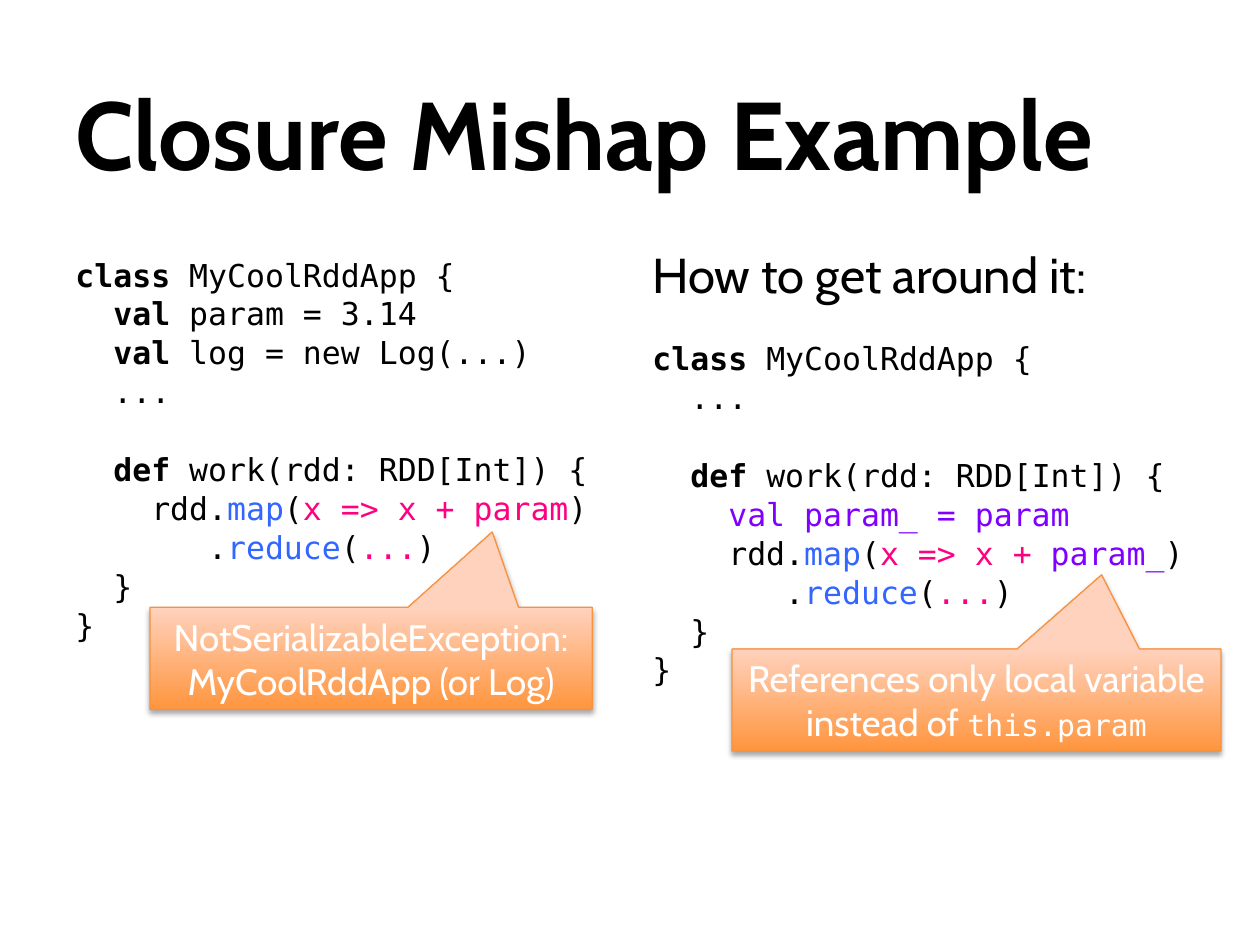
from lxml.etree import SubElement
from pptx import Presentation
from pptx.dml.color import RGBColor
from pptx.enum.shapes import MSO_SHAPE
from pptx.enum.text import MSO_ANCHOR, PP_ALIGN
from pptx.oxml import parse_xml
from pptx.oxml.ns import nsdecls, qn
from pptx.util import Inches, Pt

SANS, MONO = "Cabin", "DejaVu Sans Mono"

# Theme: style -> (font, size, colour, bold)
THEME = {
    "title": (SANS, 55, "000000", True),
    "head": (SANS, 28, "000000", False),
    "code": (MONO, 18, "000000", False),
    "key": (MONO, 18, "000000", True),
    "call": (MONO, 18, "3366FF", False),
    "arg": (MONO, 18, "FF0080", False),
    "local": (MONO, 18, "8000FF", False),
    "gap": (MONO, 12, "000000", False),
    "note": (SANS, 21, "FFFFFF", False),
    "term": (MONO, 17, "FFFFFF", False),
}
GRAD = ("FF953E", "FFD2BD")
EDGE = "F69240"

# Content: a paragraph is a list of lines, a line a list of (style, text)
OPEN = [("key", "class "), ("code", "MyCoolRddApp {")]
DOTS = [("code", "  ...")]
WORK = [("code", "  "), ("key", "def"), ("code", " work(rdd: RDD[Int]) {")]
MAP = [("code", "    rdd."), ("call", "map"), ("code", "(")]
TAIL = [
    [("code", "       ."), ("call", "reduce"), ("code", "("),
     ("arg", "..."), ("code", ")")],
    [("code", "  }")],
    [("code", "}")],
]
BAD = [
    OPEN,
    [("code", "  "), ("key", "val "), ("code", "param = 3.14")],
    [("code", "  "), ("key", "val"), ("code", " log = new Log(...)")],
    DOTS,
    [("code", "")],
    WORK,
    MAP + [("arg", "x => x + param"), ("code", ")")],
] + TAIL
GOOD = [
    OPEN,
    DOTS,
    [("gap", "")],
    WORK,
    [("code", "    "), ("local", "val param_ = param")],
    MAP + [("arg", "x => x + "), ("local", "param_"), ("code", ")")],
] + TAIL

TEXTS = [  # place, anchor, paragraphs
    ((0.5, 0.42, 9, 1.25), MSO_ANCHOR.MIDDLE,
     [[[("title", "Closure Mishap Example")]]]),
    ((0.5, 1.97, 4.42, 4.95), MSO_ANCHOR.TOP, [BAD]),
    ((5.08, 1.89, 4.42, 4.95), MSO_ANCHOR.TOP,
     [[[("head", "How to get around it:")]], GOOD]),
]
NOTES = [  # place, pointer tip, paragraph
    ((1.19, 4.82, 3.51, 0.81), (0.274, -1.239),
     [[("note", "NotSerializableException:")],
      [("note", "MyCoolRddApp (or Log)")]]),
    ((5.81, 5.15, 3.88, 0.81), (0.256, -1.226),
     [[("note", "References only local variable instead of "),
       ("term", "this.param")]]),
]


def rgb(code):
    return RGBColor.from_string(code)


def add_break(para, style):
    name, size = THEME[style][:2]
    para.add_line_break()
    props = SubElement(para._p[-1], qn("a:rPr"), sz=str(size * 100))
    SubElement(props, qn("a:latin"), typeface=name)


def write(para, lines):
    for num, line in enumerate(lines):
        if num:
            add_break(para, line[0][0])
        for style, text in line:
            if text:
                run = para.add_run()
                run.text = text
                font = run.font
                font.name, size, tint, font.bold = THEME[style]
                font.size = Pt(size)
                font.color.rgb = rgb(tint)


def add_text(slide, place, anchor, paras):
    frame = slide.shapes.add_textbox(*map(Inches, place)).text_frame
    frame.word_wrap = True
    frame.vertical_anchor = anchor
    for num, lines in enumerate(paras):
        para = frame.add_paragraph() if num else frame.paragraphs[0]
        if anchor == MSO_ANCHOR.TOP:
            para.space_before = Pt(20)
        if len(lines) > 1:
            para.line_spacing = 1.03
        write(para, lines)


def add_note(slide, place, tip, lines):
    shape = slide.shapes.add_shape(
        MSO_SHAPE.RECTANGULAR_CALLOUT, *map(Inches, place))
    for num, value in enumerate(tip):
        shape.adjustments[num] = value
    # Fill, edge and shadow
    shape.fill.gradient()
    shape.fill.gradient_angle = 90
    for num, stop in enumerate(shape.fill.gradient_stops):
        stop.position = num
        stop.color.rgb = rgb(GRAD[num])
    shape.line.color.rgb = rgb(EDGE)
    shape.line.width = Pt(0.75)
    shape._element.spPr.append(parse_xml(
        f'<a:effectLst {nsdecls("a")}><a:outerShdw blurRad="{Pt(3.1)}" '
        f'dist="{Pt(1.8)}" dir="5400000" rotWithShape="0">'
        '<a:srgbClr val="000000"><a:alpha val="35000"/></a:srgbClr>'
        '</a:outerShdw></a:effectLst>'))
    # Label
    frame = shape.text_frame
    frame.word_wrap = True
    frame.vertical_anchor = MSO_ANCHOR.MIDDLE
    frame.paragraphs[0].alignment = PP_ALIGN.CENTER
    write(frame.paragraphs[0], lines)


# Build
deck = Presentation()
deck.slide_width, deck.slide_height = Inches(10), Inches(7.5)
slide = deck.slides.add_slide(deck.slide_layouts[6])
for item in TEXTS:
    add_text(slide, *item)
for item in NOTES:
    add_note(slide, *item)
deck.save("out.pptx")
